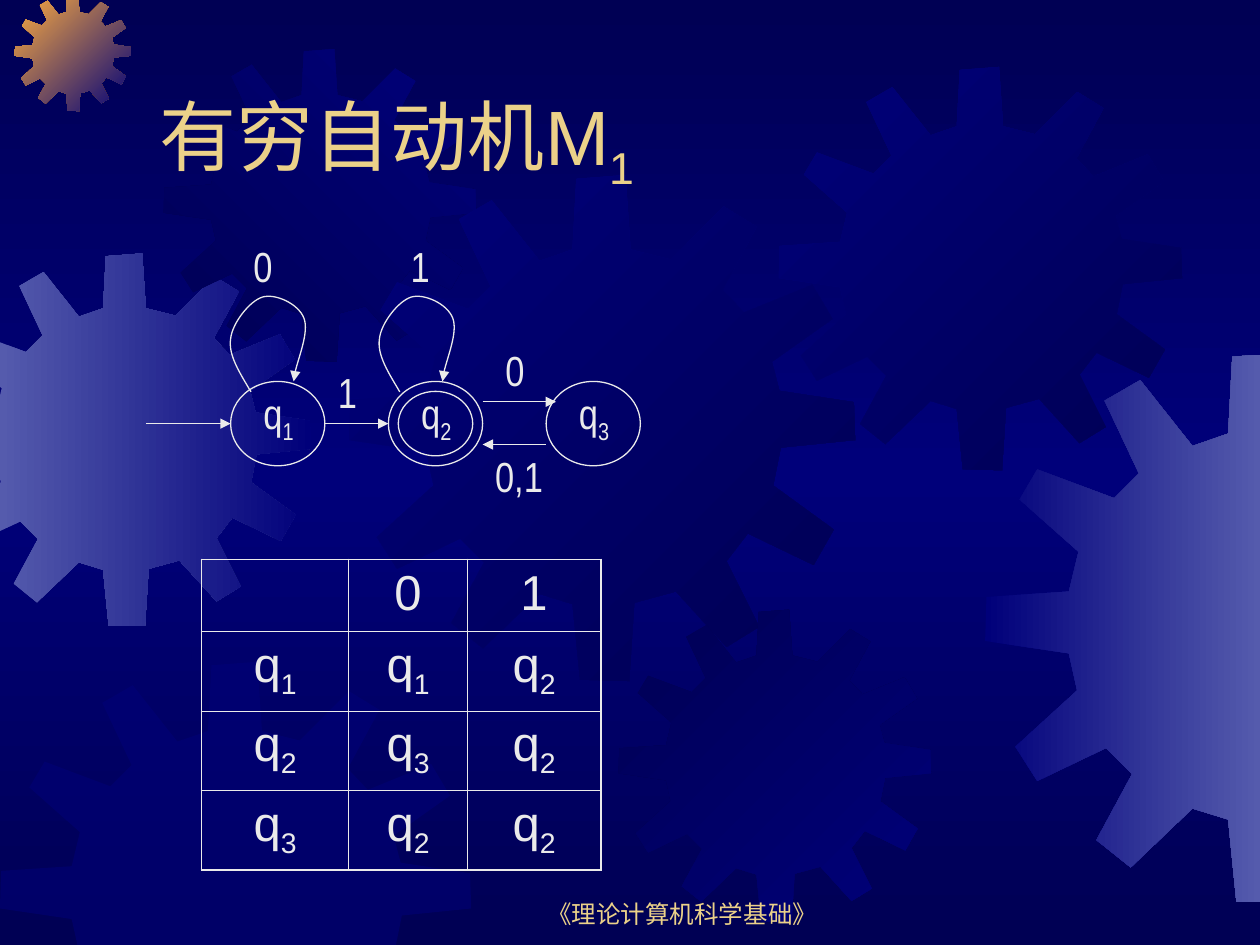
import pptx
import pptx.dml.color
import pptx.enum.shapes
import pptx.enum.text
import pptx.oxml
import pptx.oxml.ns
import pptx.util
from copy import deepcopy

Cm, Pt = pptx.util.Cm, pptx.util.Pt
RGBColor = pptx.dml.color.RGBColor
qn = pptx.oxml.ns.qn
ANCHOR = pptx.enum.text.MSO_ANCHOR
ALIGN = pptx.enum.text.PP_ALIGN
SHAPE = pptx.enum.shapes.MSO_SHAPE

MIDNIGHT = RGBColor(0x00, 0x00, 0x54)
NAVY = RGBColor(0x00, 0x00, 0x7A)
LAVENDER = RGBColor(0x55, 0x5B, 0xAD)
ORANGE = RGBColor(0xFC, 0xAB, 0x40)
GOLD = RGBColor(0xEB, 0xD1, 0x89)
PALE = RGBColor(0xEA, 0xEA, 0xEA)

SLIDE_W, SLIDE_H = 25.4, 19.05

GEAR_SPAN = 401
GEAR_OUTLINE = [
    (255, 67), (223, 59), (219, 0), (180, 3), (177, 59), (151, 68),
    (113, 20), (87, 35), (112, 88), (94, 106), (38, 85), (25, 107),
    (68, 145), (61, 174), (1, 178), (0, 210), (61, 219), (67, 246),
    (22, 287), (38, 312), (88, 288), (107, 307), (81, 355), (106, 375),
    (151, 332), (177, 340), (183, 400), (222, 401), (226, 339), (259, 330),
    (299, 374), (325, 358), (299, 306), (316, 284), (368, 309), (384, 281),
    (336, 246), (342, 216), (401, 210), (400, 180), (341, 171), (335, 148),
    (383, 114), (367, 87), (313, 109), (296, 91), (323, 41), (297, 25)]

# left, top, size, first colour, last colour, clockwise angle
GEARS = [
    (-1.24, 5.11, 7.52, LAVENDER, NAVY, 0),
    (0.3, -0.1, 2.34, ORANGE, NAVY, 45),
    (3.3, 0.99, 6.3, MIDNIGHT, NAVY, 315),
    (7.04, 3.53, 10.2, NAVY, MIDNIGHT, 45),
    (0, 13.34, 9.5, NAVY, None, 0),
    (12.47, 12.29, 6.3, MIDNIGHT, NAVY, 45),
    (15.7, 1.35, 8.13, NAVY, MIDNIGHT, 45),
    (19.86, 7.11, 11.1, NAVY, LAVENDER, 0)]

# start point, then three points for each Bézier segment
LOOP_CURVE = [
    (2.11, 3.18),
    (1.88, 2.79), (1.65, 2.44), (1.7, 2.11),
    (1.73, 1.8), (2.08, 1.35), (2.34, 1.27),
    (2.59, 1.19), (3.07, 1.4), (3.18, 1.7),
    (3.28, 1.98), (2.97, 2.74), (2.97, 2.97)]

TRANSITIONS = [("", "0", "1"), ("q1", "q1", "q2"),
               ("q2", "q3", "q2"), ("q3", "q2", "q2")]


def clip(points, axis, limit, sign):
    """Cut a polygon so that sign * (coordinate - limit) is never negative."""
    kept = []
    for start, end in zip(points[-1:] + points[:-1], points):
        a, b = (sign * (point[axis] - limit) for point in (start, end))
        if a * b < 0:
            t = a / (a - b)
            kept.append(tuple(s + t * (e - s) for s, e in zip(start, end)))
        if b >= 0:
            kept.append(end)
    return kept


def freeform(slide, points, close):
    corners = [(Cm(x), Cm(y)) for x, y in points]
    builder = slide.shapes.build_freeform(*corners[0])
    builder.add_line_segments(corners[1:], close=close)
    outline = builder.convert_to_shape()
    outline.shadow.inherit = False
    return outline


def set_gradient(fill, first, last, clockwise):
    fill.gradient()
    fill.gradient_angle = (360 - clockwise) % 360
    for stop, colour in zip(fill.gradient_stops, (first, last)):
        stop.color.rgb = colour


def add_background(slide):
    set_gradient(slide.background.fill, MIDNIGHT, NAVY, 90)
    stops = next(slide.element.iter(qn("a:gsLst")))
    stops.append(deepcopy(stops[0]))
    for stop, position in zip(stops, (0, 50000, 100000)):
        stop.set("pos", str(position))


def add_gear(slide, left, top, size, first, last, clockwise):
    """Draw a gear, cut at the slide edges; without a last colour it is half clear."""
    scale = size / GEAR_SPAN
    points = [(left + x * scale, top + y * scale) for x, y in GEAR_OUTLINE]
    for axis, limit, sign in ((0, 0, 1), (1, 0, 1), (0, SLIDE_W, -1), (1, SLIDE_H, -1)):
        points = clip(points, axis, limit, sign)
    gear = freeform(slide, points, True)
    gear.line.fill.background()
    if last is not None:
        set_gradient(gear.fill, first, last, clockwise)
    else:
        gear.fill.solid()
        gear.fill.fore_color.rgb = first
        colour = next(gear.element.spPr.iter(qn("a:srgbClr")))
        colour.append(pptx.oxml.parse_xml(
            f'<a:alpha {pptx.oxml.ns.nsdecls("a")} val="50000"/>'))


def write(frame, text, size, colour, font="Arial", align=ALIGN.LEFT, subscript=""):
    paragraph = frame.paragraphs[0]
    paragraph.alignment = align
    paragraph.font.size = Pt(size)
    paragraph.font.name = font
    paragraph.font.color.rgb = colour
    paragraph.add_run().text = text
    if subscript:
        lowered = paragraph.add_run()
        lowered.text = subscript
        lowered.font._element.set("baseline", "-25000")


def add_text(slide, box, text, size, colour, anchor=ANCHOR.TOP, **style):
    frame = slide.shapes.add_textbox(*map(Cm, box)).text_frame
    frame.word_wrap = True
    frame.vertical_anchor = anchor
    write(frame, text, size, colour, **style)


def style_line(line, arrow=False):
    line.color.rgb = PALE
    line.width = Pt(0.75)
    if arrow:
        line._get_or_add_ln().append(pptx.oxml.parse_xml(
            f'<a:tailEnd {pptx.oxml.ns.nsdecls("a")} type="triangle"/>'))


def add_ellipse(slide, *box):
    ring = slide.shapes.add_shape(SHAPE.OVAL, *map(Cm, box))
    ring.shadow.inherit = False
    ring.fill.background()
    style_line(ring.line)


def add_arrow(slide, x1, x2, y):
    arrow = slide.shapes.add_connector(
        pptx.enum.shapes.MSO_CONNECTOR.STRAIGHT, Cm(x1), Cm(y), Cm(x2), Cm(y))
    style_line(arrow.line, arrow=True)
    arrow.element.spPr.append(pptx.oxml.parse_xml(
        f'<a:effectLst {pptx.oxml.ns.nsdecls("a")}/>'))


def add_loop(slide, left, top):
    loop = freeform(slide, [(left + x, top + y) for x, y in LOOP_CURVE], False)
    loop.fill.background()
    style_line(loop.line, arrow=True)
    steps = list(loop.element.spPr.iter(qn("a:lnTo")))
    for i in range(0, len(steps), 3):
        curve = pptx.oxml.parse_xml(f'<a:cubicBezTo {pptx.oxml.ns.nsdecls("a")}/>')
        steps[i].addprevious(curve)
        for step in steps[i:i + 3]:
            curve.append(step[0])
            step.getparent().remove(step)


def add_automaton(slide, left, top):
    state_y, state_w, state_h, pitch, inset = top + 2.97, 1.9, 1.7, 3.18, 0.2
    state_xs = [left + 1.7 + i * pitch for i in range(3)]
    for number, x in enumerate(state_xs, 1):
        add_ellipse(slide, x, state_y, state_w, state_h)
        add_text(slide, (x + 0.41, state_y, 1.27, 1.42), "q", 24, PALE,
                 font="Arial Narrow", subscript=str(number))
    add_ellipse(slide, state_xs[1] + inset, state_y + inset,
                state_w - 2 * inset, state_h - 2 * inset)
    for x1, x2, y in ((0, 1.7, 3.82), (3.6, 4.88, 3.82),
                      (6.78, 8.26, 3.38), (8.05, 6.78, 4.24)):
        add_arrow(slide, left + x1, left + x2, top + y)
    for shift in (0, 3):
        add_loop(slide, left + shift, top)
    for symbol, x, y in (("0", 1.91, 0), ("1", 5.08, 0), ("0", 6.99, 2.11),
                         ("0,1", 6.78, 4.24), ("1", 3.61, 2.54)):
        add_text(slide, (left + x, top + y, 1.91, 1.27), symbol, 24, PALE,
                 font="Arial Narrow")


def add_border(cell, side, width):
    cell._tc.get_or_add_tcPr().append(pptx.oxml.parse_xml(
        f'<a:ln{side} {pptx.oxml.ns.nsdecls("a")} w="{Pt(width)}"><a:solidFill>'
        f'<a:srgbClr val="{PALE}"/></a:solidFill></a:ln{side}>'))


def add_transition_table(slide, left, top):
    widths, heights = (2.97, 2.39, 2.69), (1.45, 1.6, 1.6, 1.6)
    table = slide.shapes.add_table(len(heights), len(widths), Cm(left), Cm(top),
                                   Cm(sum(widths)), Cm(sum(heights))).table
    table.first_row = table.horz_banding = False
    for column, width in zip(table.columns, widths):
        column.width = Cm(width)
    for r, (row, height) in enumerate(zip(table.rows, heights)):
        row.height = Cm(height)
        for c, (cell, entry) in enumerate(zip(row.cells, TRANSITIONS[r])):
            outer = {"L": c == 0, "R": c == len(widths) - 1,
                     "T": r == 0, "B": r == len(heights) - 1}
            for side, is_outer in outer.items():
                add_border(cell, side, 1.08 if is_outer else 0.45)
            cell.fill.background()
            if entry:
                write(cell.text_frame, entry[0], 28, PALE,
                      align=ALIGN.CENTER, subscript=entry[1:])


def main():
    deck = pptx.Presentation()
    deck.slide_width, deck.slide_height = Cm(SLIDE_W), Cm(SLIDE_H)
    slide = deck.slides.add_slide(deck.slide_layouts[6])
    add_background(slide)
    for gear in GEARS:
        add_gear(slide, *gear)
    add_text(slide, (9.73, 17.58, 8.05, 1.27), "《理论计算机科学基础》", 14, GOLD,
             anchor=ANCHOR.BOTTOM, align=ALIGN.CENTER)
    add_text(slide, (2.97, 0.84, 21.59, 3.18), "有穷自动机M", 44, GOLD,
             anchor=ANCHOR.BOTTOM, subscript="1")
    add_transition_table(slide, 4.06, 11.28)
    add_automaton(slide, 2.95, 4.72)
    deck.save("out.pptx")


if __name__ == "__main__":
    main()
